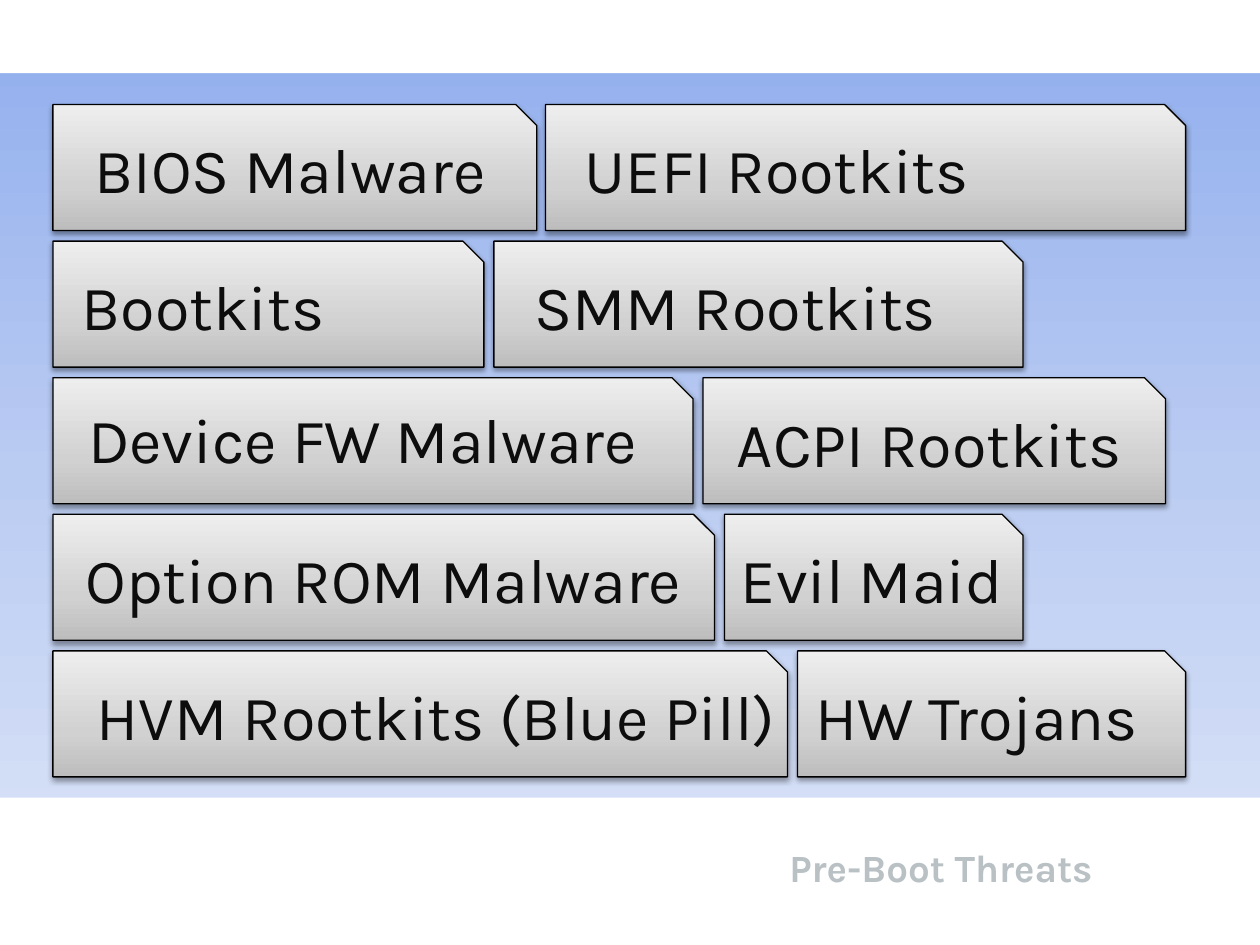
from dataclasses import dataclass

from lxml.etree import SubElement
from pptx import Presentation
from pptx.dml.color import RGBColor
from pptx.enum.shapes import MSO_SHAPE as Shape
from pptx.enum.text import MSO_ANCHOR as Anchor, MSO_AUTO_SIZE as AutoSize, PP_ALIGN as Align
from pptx.oxml.ns import qn
from pptx.util import Inches, Pt

FONT = "Karla"
WHITE = RGBColor(0xFF, 0xFF, 0xFF)
BLACK = RGBColor(0x00, 0x00, 0x00)
INK = RGBColor(0x0D, 0x0D, 0x0D)
TITLE_GREY = RGBColor(0xB9, 0xC1, 0xC5)
SKY = [(0, RGBColor(0x8E, 0xAC, 0xED)), (50, RGBColor(0xBB, 0xCC, 0xF2)),
       (100, RGBColor(0xDE, 0xE6, 0xF8))]
STEEL = [(0, RGBColor(0xBD, 0xBD, 0xBD)), (35, RGBColor(0xD1, 0xD1, 0xD1)),
         (100, RGBColor(0xEE, 0xEE, 0xEE))]

FIRST_TOP = 0.83
ROW_STEP = 1.084
CARD_HEIGHT = 1


@dataclass(frozen=True)
class Threat:
    name: str
    row: int
    left: float
    width: float
    text_left: float
    text_width: float
    text_drop: float = 0.16


THREATS = [
    Threat("BIOS Malware", 0, 0.42, 3.84, 0.65, 3.69),
    Threat("UEFI Rootkits", 0, 4.33, 5.08, 4.54, 4.88),
    Threat("Bootkits", 1, 0.42, 3.42, 0.55, 3.28),
    Threat("SMM Rootkits", 1, 3.92, 4.2, 4.14, 4.02),
    Threat("Device FW Malware", 2, 0.42, 5.08, 0.6, 4.88, 0.13),
    Threat("ACPI Rootkits", 2, 5.58, 3.67, 5.75, 3.89),
    Threat("Option ROM Malware", 3, 0.42, 5.25, 0.58, 5.25),
    Threat("Evil Maid", 3, 5.75, 2.37, 5.78, 2.38),
    Threat("HVM Rootkits (Blue Pill)", 4, 0.42, 5.83, 0.67, 6.08),
    Threat("HW Trojans", 4, 6.33, 3.08, 6.37, 2.88),
]


def set_gradient(fill, element, stops: list, angle: int) -> None:
    """Fill with a linear gradient; the angle runs clockwise in degrees."""
    fill.gradient()
    gradient = element.find(".//" + qn("a:gradFill"))
    stop_list = gradient.find(qn("a:gsLst"))
    for old_stop in list(stop_list):
        stop_list.remove(old_stop)
    for position, color in stops:
        stop = SubElement(stop_list, qn("a:gs"), pos=str(position * 1000))
        SubElement(stop, qn("a:srgbClr"), val=str(color))
    gradient.find(qn("a:lin")).set("ang", str(angle * 60000))


def add_shadow(shape) -> None:
    shape.shadow.inherit = False
    effects = shape._element.spPr.find(qn("a:effectLst"))
    shadow = SubElement(effects, qn("a:outerShdw"), blurRad=str(Pt(3.1)),
                        dist=str(Pt(1.6)), dir="5400000", rotWithShape="0")
    color = SubElement(shadow, qn("a:srgbClr"), val=str(BLACK))
    SubElement(color, qn("a:alpha"), val="38000")


def add_band(page, top: float, height: float) -> None:
    band = page.shapes.add_shape(Shape.RECTANGLE, 0, Inches(top), Inches(10), Inches(height))
    band.shadow.inherit = False
    band.fill.solid()
    band.fill.fore_color.rgb = WHITE
    band.line.fill.background()


def format_text(paragraph, size: float, color: RGBColor, bold: bool = False) -> None:
    for span in paragraph.runs:
        span.font.name = FONT
        span.font.size = Pt(size)
        span.font.bold = bold
        span.font.color.rgb = color


def add_threat(page, threat: Threat) -> None:
    top = FIRST_TOP + threat.row * ROW_STEP
    group = page.shapes.add_group_shape()

    card = group.shapes.add_shape(Shape.SNIP_1_RECTANGLE, Inches(threat.left), Inches(top),
                                  Inches(threat.width), Inches(CARD_HEIGHT))
    set_gradient(card.fill, card._element.spPr, STEEL, 270)
    card.line.color.rgb = BLACK
    card.line.width = Pt(0.75)
    add_shadow(card)

    label = group.shapes.add_textbox(Inches(threat.text_left), Inches(top + threat.text_drop),
                                     Inches(threat.text_width), Inches(0.71))
    frame = label.text_frame
    frame.word_wrap = True
    frame.auto_size = AutoSize.SHAPE_TO_FIT_TEXT
    frame.text = threat.name
    format_text(frame.paragraphs[0], 36, INK)


def place_title(page, text: str) -> None:
    title = page.shapes.title
    title.left, title.top = Inches(0.25), Inches(6.42)
    title.width, title.height = Inches(8.42), Inches(0.92)
    frame = title.text_frame
    frame.text = text
    frame.word_wrap = True
    frame.auto_size = AutoSize.NONE
    frame.vertical_anchor = Anchor.MIDDLE
    frame.margin_left = frame.margin_right = frame.margin_top = frame.margin_bottom = 0
    frame.paragraphs[0].alignment = Align.RIGHT
    format_text(frame.paragraphs[0], 22, TITLE_GREY, bold=True)
    # Bring the title in front of the lower band
    page.shapes._spTree.append(title._element)


def main() -> None:
    deck = Presentation()
    deck.slide_width, deck.slide_height = Inches(10), Inches(7.5)
    page = deck.slides.add_slide(deck.slide_layouts[5])

    # Backdrop with white bands above and below
    set_gradient(page.background.fill, page._element, SKY, 90)
    add_band(page, 0, 0.58)
    add_band(page, 6.33, 1.17)
    place_title(page, "Pre-Boot Threats")

    # Threat cards
    for threat in THREATS:
        add_threat(page, threat)

    deck.save("out.pptx")


if __name__ == "__main__":
    main()
